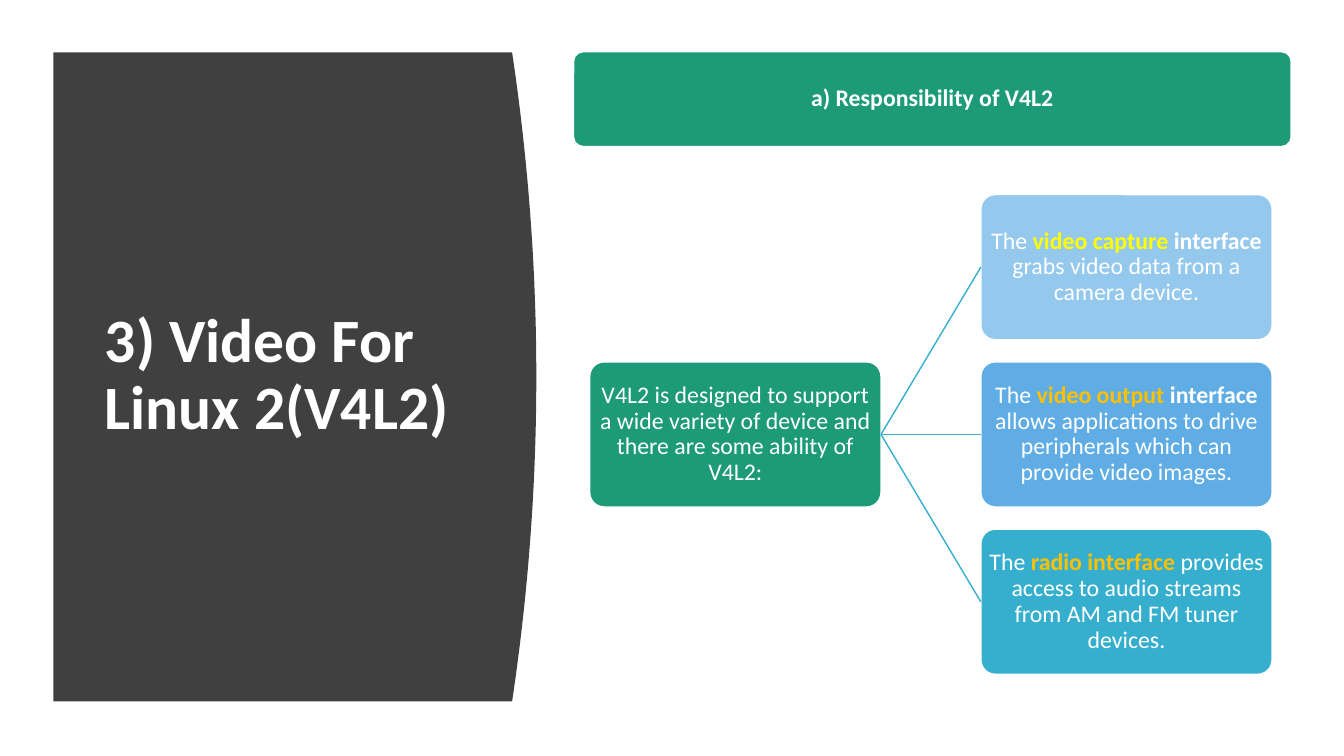
"""Build the slide on Video For Linux 2 and its interfaces."""
import dataclasses

import lxml.etree
import pptx
import pptx.dml.color
import pptx.enum.shapes
import pptx.enum.text
import pptx.oxml.ns
import pptx.util

Pt = pptx.util.Pt
ALIGN = pptx.enum.text.PP_ALIGN
WHITE = "FFFFFF"
YELLOW = "FFFF00"
AMBER = "FFC000"
GREEN = "1D9A78"
CYAN = "36AFCE"
CHARCOAL = "404040"

NODE_WIDTH, NODE_HEIGHT = 208.1, 103.7
ABILITY_LEFT, ABILITY_TOP, ABILITY_STEP = 700.6, 139, 119.5
PANEL_LEFT, PANEL_TOP, PANEL_EDGE, PANEL_BOTTOM = 38.2, 37.4, 365.8, 501.1
PANEL_BULGE, PANEL_STEPS = 17.3, 48


@dataclasses.dataclass(frozen=True)
class Phrase:
    text: str
    color: str = WHITE
    bold: bool = False


@dataclasses.dataclass(frozen=True)
class Node:
    left: float
    top: float
    width: float
    height: float
    fill: str
    phrases: tuple[Phrase, ...]


def paint(target, color: str) -> None:
    """Give a fill or line format one solid colour."""
    fill = getattr(target, "fill", target)
    fill.solid()
    fill.fore_color.rgb = pptx.dml.color.RGBColor.from_string(color)


def apply_format(target, values: dict) -> None:
    """Set every attribute named in the format values."""
    for attribute, value in values.items():
        setattr(target, attribute, value)


def write(frame, phrases: tuple[Phrase, ...], size: float, alignment) -> None:
    """Write the phrases as one paragraph in the middle of the frame."""
    apply_format(frame, {
        "word_wrap": True,
        "auto_size": pptx.enum.text.MSO_AUTO_SIZE.NONE,
        "vertical_anchor": pptx.enum.text.MSO_ANCHOR.MIDDLE,
    })
    paragraph = frame.paragraphs[0]
    apply_format(paragraph, {"alignment": alignment, "line_spacing": 0.9})
    for phrase in phrases:
        run = paragraph.add_run()
        run.text = phrase.text
        apply_format(run.font, {"name": "Calibri", "size": Pt(size), "bold": phrase.bold})
        paint(run.font, phrase.color)


def draw_panel(slide):
    """Draw the dark panel whose right edge is a parabola."""
    middle = (PANEL_TOP + PANEL_BOTTOM) / 2
    half = (PANEL_BOTTOM - PANEL_TOP) / 2
    edge = []
    for step in range(PANEL_STEPS + 1):
        offset = 2 * step / PANEL_STEPS - 1
        edge.append((Pt(PANEL_EDGE + PANEL_BULGE * (1 - offset ** 2)), Pt(middle + half * offset)))
    builder = slide.shapes.build_freeform(Pt(PANEL_LEFT), Pt(PANEL_TOP))
    builder.add_line_segments([*edge, (Pt(PANEL_LEFT), Pt(PANEL_BOTTOM))], close=True)
    panel = builder.convert_to_shape()
    panel.shadow.inherit = False
    paint(panel, CHARCOAL)
    panel.line.fill.background()
    return panel


def draw_node(slide, node: Node):
    """Draw a rounded box with its text."""
    box = slide.shapes.add_shape(
        pptx.enum.shapes.MSO_SHAPE.ROUNDED_RECTANGLE,
        Pt(node.left), Pt(node.top), Pt(node.width), Pt(node.height))
    box.adjustments[0] = 0.1
    box.shadow.inherit = False
    paint(box, node.fill)
    paint(box.line, WHITE)
    box.line.width = Pt(1)
    sides = ("left", "top", "right", "bottom")
    apply_format(box.text_frame, {f"margin_{side}": Pt(0.7) for side in sides})
    write(box.text_frame, node.phrases, 17, ALIGN.CENTER)
    return box


def join(slide, source, target) -> None:
    """Connect the right side of one box to the left side of another."""
    connector = slide.shapes.add_connector(
        pptx.enum.shapes.MSO_CONNECTOR.STRAIGHT, 0, 0, 0, 0)
    connector.begin_connect(source, 3)
    connector.end_connect(target, 1)
    paint(connector.line, CYAN)
    connector.line.width = Pt(1)
    lxml.etree.SubElement(connector.element.spPr, pptx.oxml.ns.qn("a:effectLst"))


HEADING = Node(409.7, 37, 512.6, 67.7, GREEN, (Phrase("a) Responsibility of V4L2", bold=True),))
PURPOSE = Node(421.2, ABILITY_TOP + ABILITY_STEP, NODE_WIDTH, NODE_HEIGHT, GREEN, (
    Phrase("V4L2 is designed to support a wide variety of device and "
           "there are some ability of V4L2:"),))
ABILITIES = (
    ("94C8ED", (Phrase("The "), Phrase("video capture ", YELLOW, True),
                Phrase("interface", bold=True),
                Phrase(" grabs video data from a camera device."))),
    ("5FADE4", (Phrase("The "), Phrase("video output ", AMBER, True),
                Phrase("interface", bold=True),
                Phrase(" allows applications to drive peripherals "
                       "which can provide video images."))),
    (CYAN, (Phrase("The "), Phrase("radio interface", AMBER, True),
            Phrase(" provides access to audio streams from AM and FM tuner devices."))),
)


def main() -> None:
    """Build and save the slide."""
    deck = pptx.Presentation()
    apply_format(deck, {"slide_width": Pt(960), "slide_height": Pt(540)})
    slide = deck.slides.add_slide(deck.slide_layouts[5])

    title = slide.shapes.title
    apply_format(title, {"left": Pt(67.7), "top": Pt(80), "width": Pt(269.3), "height": Pt(377.3)})
    write(title.text_frame, (Phrase("3) Video For Linux 2(V4L2)", bold=True),), 44, ALIGN.LEFT)
    title.element.addprevious(draw_panel(slide).element)

    draw_node(slide, HEADING)
    purpose = draw_node(slide, PURPOSE)
    for row, (fill, phrases) in enumerate(ABILITIES):
        top = ABILITY_TOP + row * ABILITY_STEP
        ability = draw_node(
            slide, Node(ABILITY_LEFT, top, NODE_WIDTH, NODE_HEIGHT, fill, phrases))
        join(slide, purpose, ability)
    deck.save("out.pptx")


if __name__ == "__main__":
    main()
